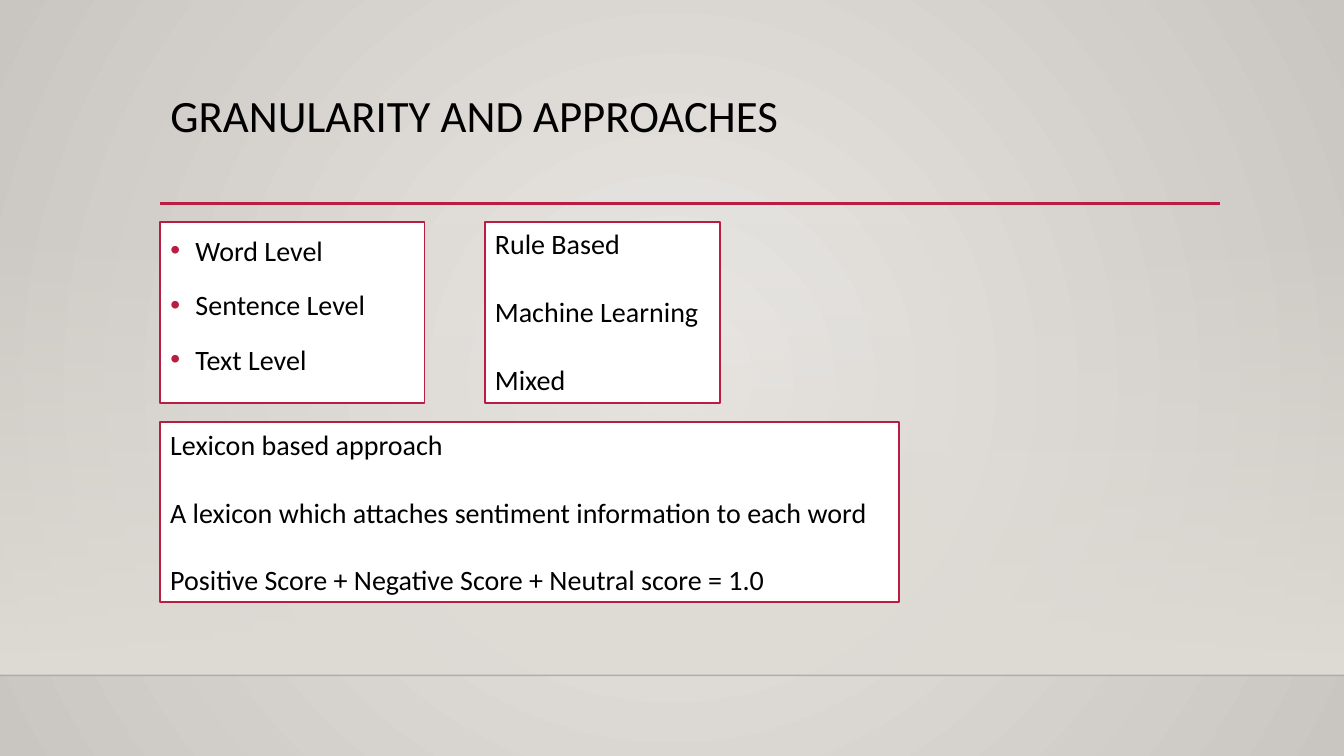
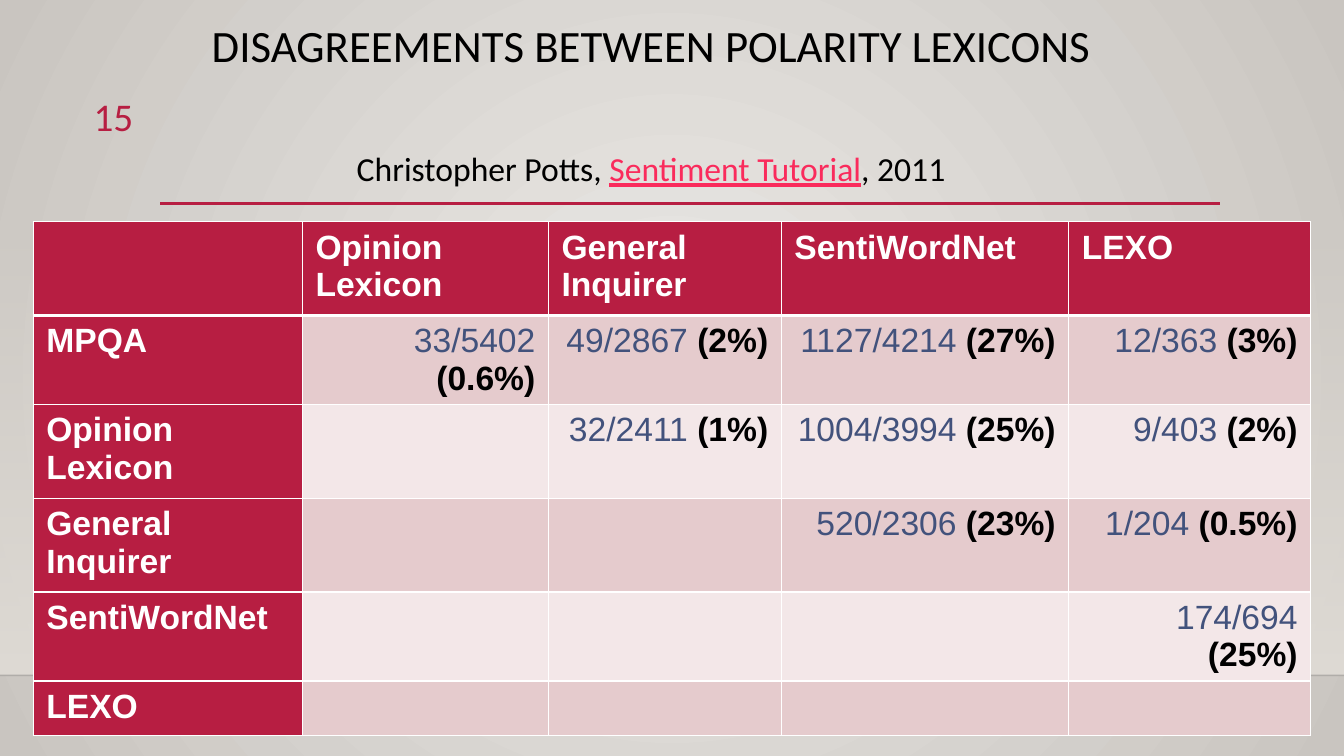
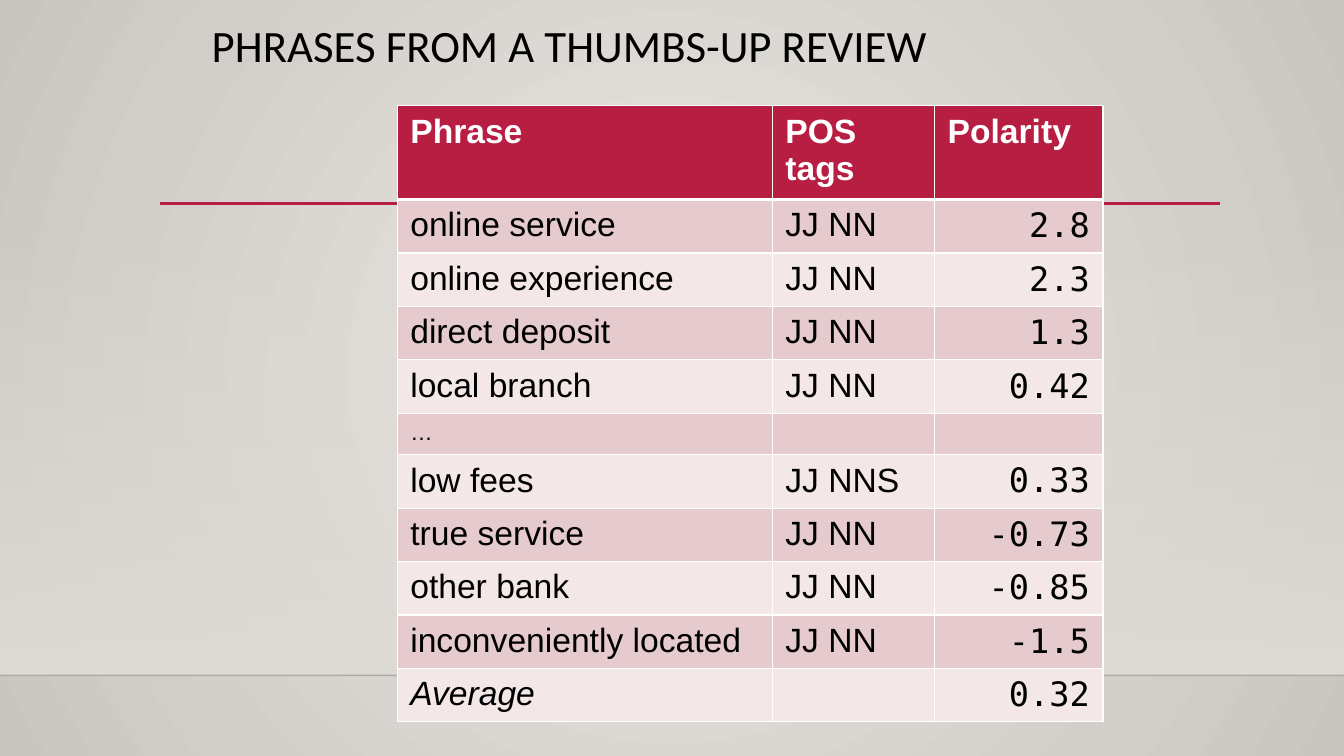
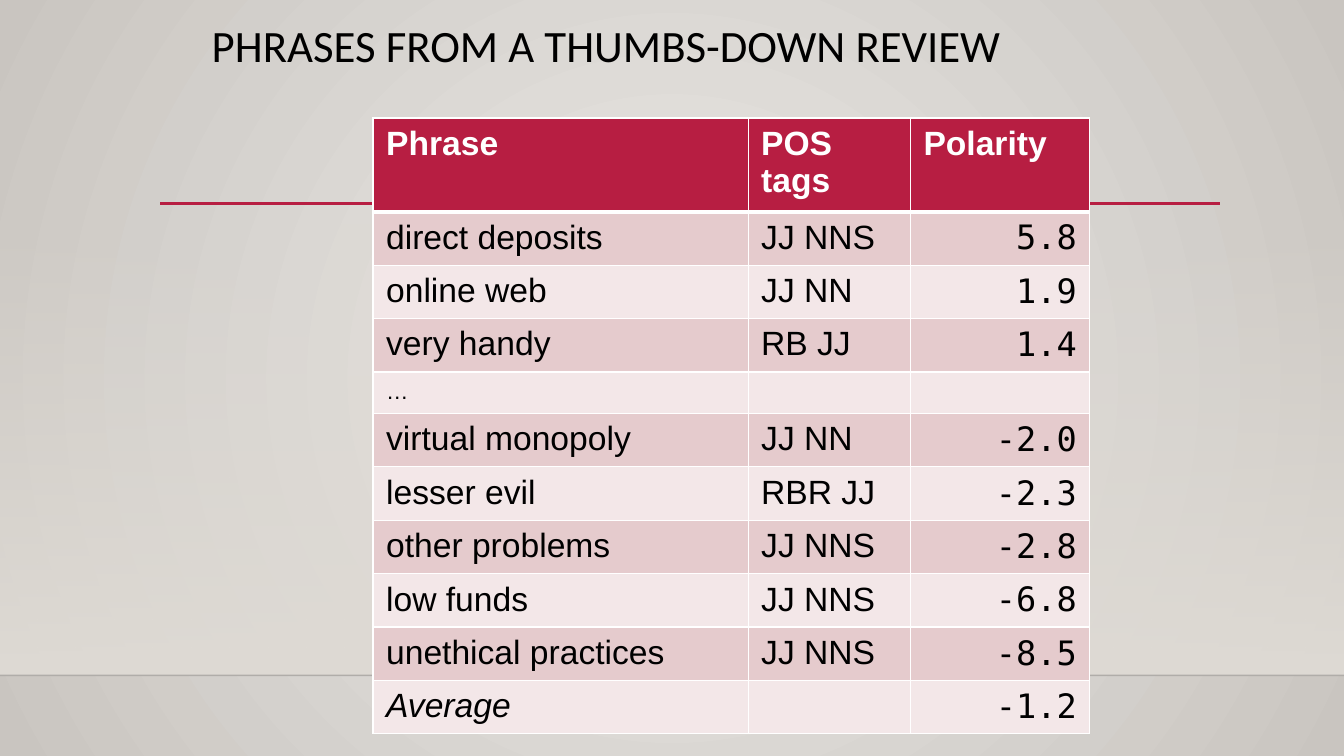
from lxml import etree
from pptx import Presentation
from pptx import util as u
from pptx.dml.color import RGBColor
from pptx.enum import shapes, text
from pptx.oxml import parse_xml
from pptx.oxml.ns import nsdecls, qn

HUE = {"red": "B71E42", "black": "000000", "white": "FFFFFF", "rule": "000001",
       "inner": "EBE9E6", "outer": "C9C5C0", "band": "DFDBD5",
       "dark": "E5CBCD", "pale": "F3E7E8", "count": "42527C", "link": "FA2B5C"}
RIGHT = text.PP_ALIGN.RIGHT
BODY = {"name": "Calibri", "size": u.Pt(20), "hue": "black"}
CELL = {"name": "Arial", "size": u.Pt(24), "hue": "black", "bold": False}
HEAD = {**CELL, "hue": "white", "bold": True}
MONO = {**CELL, "name": "DejaVu Sans Mono"}

TITLES = [
    ("GRANULARITY AND APPROACHES", (1.59, 0.88, 10.5, 1.15)),
    ("DISAGREEMENTS BETWEEN POLARITY LEXICONS", (2, 0.19, 11.22, 1.08)),
    ("PHRASES FROM A THUMBS-UP REVIEW", (2, 0.19, 10.89, 1.08)),
    ("PHRASES FROM A THUMBS-DOWN REVIEW", (2, 0.19, 10.89, 1.08)),
]
BULLET = {"line_spacing": 1.2, "space_before": u.Pt(10)}
SPACED = {"space_before": u.Pt(24.4)}
BOXES = [
    ((1.59, 2.2, 2.62, 1.8), BULLET, ["Word Level", "Sentence Level", "Text Level"]),
    ((4.81, 2.2, 2.33, 1.8), SPACED, ["Rule Based", "Machine Learning", "Mixed"]),
    ((1.59, 4.19, 7.33, 1.78), SPACED, [
        "Lexicon based approach",
        "A lexicon which attaches sentiment information to each word",
        "Positive Score + Negative Score + Neutral score = 1.0"]),
]
LEXICONS = [
    ["", "Opinion Lexicon", "General Inquirer", "SentiWordNet", "LEXO"],
    ["MPQA", "33/5402 (0.6%)", "49/2867 (2%)", "1127/4214 (27%)", "12/363 (3%)"],
    ["Opinion Lexicon", "", "32/2411 (1%)", "1004/3994 (25%)", "9/403 (2%)"],
    ["General Inquirer", "", "", "520/2306 (23%)", "1/204 (0.5%)"],
    ["SentiWordNet", "", "", "", "174/694 (25%)"],
    ["LEXO", "", "", "", ""],
]
TOP = ["Phrase", "POS tags", "Polarity"]
UP = [
    TOP,
    ["online service", "JJ NN", "2.8"],
    ["online experience", "JJ NN", "2.3"],
    ["direct deposit", "JJ NN", "1.3"],
    ["local branch", "JJ NN", "0.42"],
    ["…", "", ""],
    ["low fees", "JJ NNS", "0.33"],
    ["true service", "JJ NN", "-0.73"],
    ["other bank", "JJ NN", "-0.85"],
    ["inconveniently located", "JJ NN", "-1.5"],
    ["Average", "", "0.32"],
]
DOWN = [
    TOP,
    ["direct deposits", "JJ NNS", "5.8"],
    ["online web", "JJ NN", "1.9"],
    ["very handy", "RB JJ", "1.4"],
    ["…", "", ""],
    ["virtual monopoly", "JJ NN", "-2.0"],
    ["lesser evil", "RBR JJ", "-2.3"],
    ["other problems", "JJ NNS", "-2.8"],
    ["low funds", "JJ NNS", "-6.8"],
    ["unethical practices", "JJ NNS", "-8.5"],
    ["Average", "", "-1.2"],
]


def inch(nums):
    return [u.Inches(n) for n in nums]


def rgb(key):
    return RGBColor.from_string(HUE[key])


def style(font, form):
    for key, val in form.items():
        if key == "hue":
            font.color.rgb = rgb(val)
        else:
            setattr(font, key, val)


def write(para, words, form):
    run = para.add_run()
    run.text = words
    style(run.font, form)


def grad(stops, shade):
    body = "".join(f'<a:gs pos="{pos}"><a:srgbClr val="{HUE[key]}"><a:alpha val="{alpha}"/>'
                   f'</a:srgbClr></a:gs>' for pos, key, alpha in stops)
    return f'<a:gradFill {nsdecls("a")} rotWithShape="1"><a:gsLst>{body}</a:gsLst>{shade}</a:gradFill>'


def rule(slide, ends, hue, width):
    line = slide.shapes.add_connector(shapes.MSO_CONNECTOR.STRAIGHT, *inch(ends))
    line.line.color.rgb = rgb(hue)
    line.line.width = u.Pt(width)
    etree.SubElement(line.element.spPr, qn("a:effectLst"))
    return line


def dress(layout, slide):
    for hold in list(layout.placeholders)[1:]:
        layout.shapes.element.remove(hold.element)
    shade = '<a:path path="circle"><a:fillToRect l="50000" t="50000" r="50000" b="50000"/></a:path>'
    fill = grad([(0, "inner", 100000), (100000, "outer", 100000)], shade)
    layout.element.cSld.insert(0, parse_xml(
        f'<p:bg {nsdecls("p", "a")}><p:bgPr>{fill}<a:effectLst/></p:bgPr></p:bg>'))
    band = slide.shapes.add_shape(shapes.MSO_SHAPE.RECTANGLE, *inch((0, 2.21, 13.33, 4.49)))
    band.shadow.inherit = False
    band.line.fill.background()
    geom = band.element.spPr.find(qn("a:prstGeom"))
    geom.addnext(parse_xml(grad([(0, "band", 0), (100000, "band", 100000)],
                                '<a:lin ang="5400000" scaled="0"/>')))
    floor = rule(slide, (0, 6.7, 13.33, 6.7), "rule", 1)
    tint = next(floor.element.iter(qn("a:srgbClr")))
    etree.SubElement(tint, qn("a:alpha"), val="20000")
    under = rule(slide, (1.59, 2.02, 12.1, 2.02), "red", 2.5)
    for part in (band, floor, under):
        layout.shapes.element.append(part.element)


def head(slide, words, place):
    title = slide.shapes.title
    title.left, title.top, title.width, title.height = inch(place)
    frame = title.text_frame
    frame.vertical_anchor = text.MSO_ANCHOR.TOP
    frame.auto_size = text.MSO_AUTO_SIZE.NONE
    para = frame.paragraphs[0]
    para.alignment = text.PP_ALIGN.LEFT
    para.line_spacing = 0.9
    write(para, words, {**BODY, "size": u.Pt(32)})


def box(slide, place, form, lines):
    card = slide.shapes.add_shape(shapes.MSO_SHAPE.RECTANGLE, *inch(place))
    card.shadow.inherit = False
    card.fill.solid()
    card.fill.fore_color.rgb = rgb("white")
    card.line.color.rgb = rgb("red")
    card.line.width = u.Pt(1.25)
    frame = card.text_frame
    frame.word_wrap = True
    frame.vertical_anchor = text.MSO_ANCHOR.TOP
    for n, words in enumerate(lines):
        para = frame.add_paragraph() if n else frame.paragraphs[0]
        para.alignment = text.PP_ALIGN.LEFT
        if form is BULLET:
            prop = para._p.get_or_add_pPr()
            prop.set("marL", str(u.Inches(0.25)))
            prop.set("indent", str(-u.Inches(0.25)))
            tint = etree.SubElement(prop, qn("a:buClr"))
            etree.SubElement(tint, qn("a:srgbClr"), val=HUE["red"])
            etree.SubElement(prop, qn("a:buFont"), typeface="Arial")
            etree.SubElement(prop, qn("a:buChar"), char="•")
        for key, val in form.items():
            if n or key != "space_before":
                setattr(para, key, val)
        write(para, words, BODY)


def label(slide, place, runs, side=None):
    frame = slide.shapes.add_textbox(*inch(place)).text_frame
    frame.word_wrap = True
    frame.paragraphs[0].alignment = side
    for words, form in runs:
        write(frame.paragraphs[0], words, {**BODY, **form})


def edge(cell, row):
    prop = cell._tc.get_or_add_tcPr()
    for side in "LRTB":
        thick = (row, side) in ((0, "B"), (1, "T"))
        line = etree.SubElement(prop, qn(f"a:ln{side}"), w=str(u.Pt(3 if thick else 1)))
        fill = etree.SubElement(line, qn("a:solidFill"))
        etree.SubElement(fill, qn("a:srgbClr"), val=HUE["white"])


def grid(slide, spot, cols, rows, data, fill, red):
    size = (sum(cols), sum(rows))
    table = slide.shapes.add_table(len(rows), len(cols), *inch(spot + size)).table
    for col, wide in zip(table.columns, inch(cols)):
        col.width = wide
    for row, high in zip(table.rows, inch(rows)):
        row.height = high
    for r, line in enumerate(data):
        for c, words in enumerate(line):
            cell = table.cell(r, c)
            cell.margin_left = cell.margin_right = u.Inches(0.13)
            cell.margin_top = cell.margin_bottom = u.Inches(0.07)
            edge(cell, r)
            top = red(r, c)
            cell.fill.solid()
            cell.fill.fore_color.rgb = rgb("red" if top else "dark" if r % 2 else "pale")
            para = cell.text_frame.paragraphs[0]
            if not words:
                etree.SubElement(para._p, qn("a:endParaRPr"), sz="1600")
            elif top:
                write(para, words, HEAD)
            else:
                fill(para, words, c)


def score(para, words, col):
    para.alignment = RIGHT
    count, share = words.split()
    write(para, count + " ", {**CELL, "hue": "count"})
    write(para, share, {**CELL, "bold": True})


def phrase(para, words, col):
    form = MONO if col == 2 else CELL
    if col == 2:
        para.alignment = RIGHT
    extra = {"…": {"size": u.Pt(16)}, "Average": {"italic": True}}
    write(para, words, {**form, **extra.get(words, {})})


def review(slide, spot, last, data):
    rows = [0.93] + [0.4 if line[0] == "…" else 0.53 for line in data[1:]]
    grid(slide, spot, (3.72, 1.61, last), rows, data, phrase, lambda r, c: r == 0)


def main():
    prs = Presentation()
    prs.slide_width, prs.slide_height = inch((13.33, 7.5))
    layout = prs.slide_layouts[5]
    deck = [prs.slides.add_slide(layout) for _ in TITLES]
    dress(layout, deck[0])
    for slide, (words, place) in zip(deck, TITLES):
        head(slide, words, place)
    levels, lexicon, good, bad = deck
    for place, form, lines in BOXES:
        box(levels, place, form, lines)
    grid(lexicon, (0.33, 2.2), (2.67, 2.44, 2.31, 2.85, 2.4),
         (0.93, 0.54, 0.93, 0.93, 0.54, 0.54), LEXICONS, score, lambda r, c: r == 0 or c == 0)
    label(lexicon, (0.53, 0.87, 0.89, 0.55), [("15", {"size": u.Pt(28), "hue": "red"})], RIGHT)
    big = {"size": u.Pt(24)}
    label(lexicon, (3.44, 1.42, 6.17, 0.5), [
        ("Christopher Potts, ", big),
        ("Sentiment Tutorial", {**big, "hue": "link", "underline": True}),
        (", 2011", big)])
    review(good, (3.94, 1.05), 1.67, UP)
    review(bad, (3.7, 1.17), 1.78, DOWN)
    prs.save("out.pptx")


if __name__ == "__main__":
    main()
